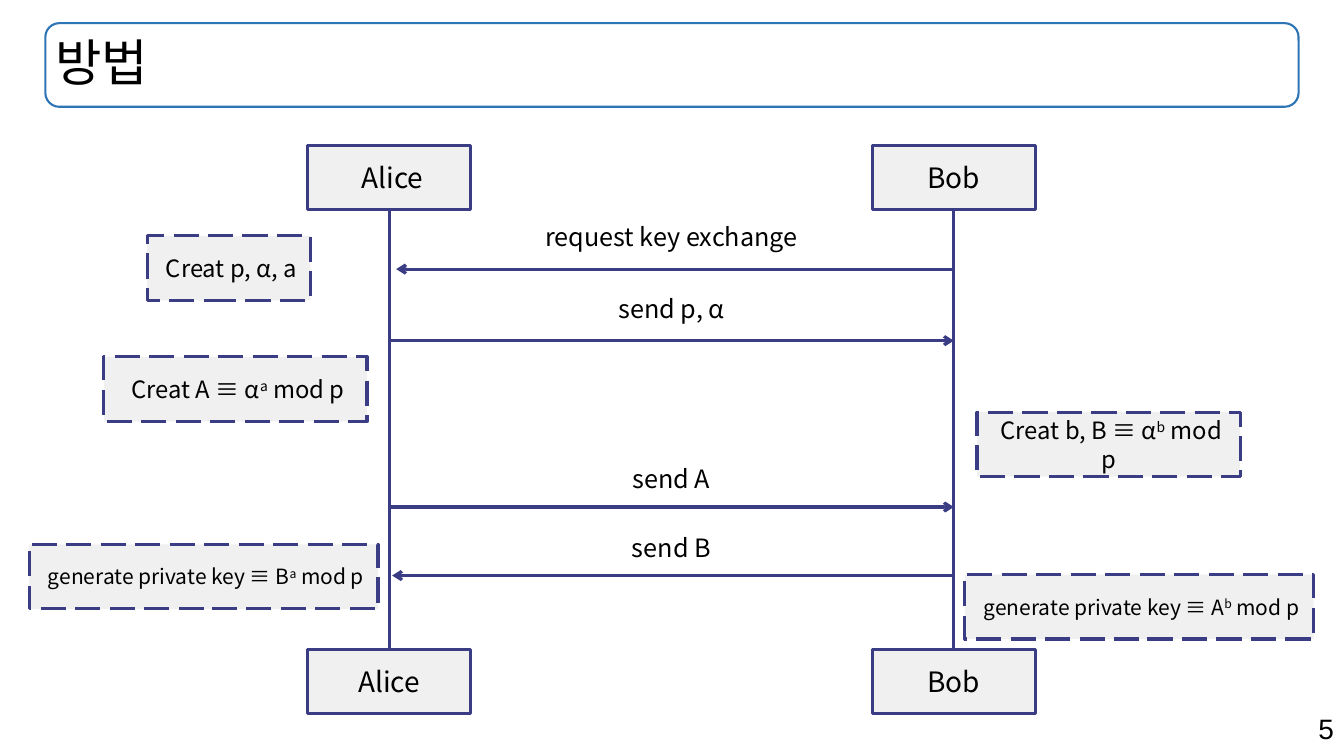
import pptx
import pptx.util
import pptx.oxml
import pptx.oxml.ns
import pptx.dml.color
import pptx.enum.dml
import pptx.enum.shapes
import pptx.enum.text
from lxml import etree

Inches, Pt = pptx.util.Inches, pptx.util.Pt
SHAPES = pptx.enum.shapes.MSO_SHAPE
ALIGN = pptx.enum.text.PP_ALIGN
ANCHOR = pptx.enum.text.MSO_ANCHOR
qn = pptx.oxml.ns.qn
COLORS = {"text": "000000", "ink": "3A3C84", "box": "F0F0F0", "frame": "2E75B6"}
RGB = {name: pptx.dml.color.RGBColor.from_string(value) for name, value in COLORS.items()}
FONT = "Noto Sans CJK KR"

deck = pptx.Presentation()
deck.slide_width, deck.slide_height = Inches(13.33), Inches(7.5)
slide = deck.slides.add_slide(deck.slide_layouts[5])
shapes = slide.shapes

# Grid of the sequence diagram
ALICE_X, BOB_X = 3.86, 9.46
ACTOR_W, BOX_H = 1.62, 0.64
TOP_Y, BOTTOM_Y = 1.44, 6.44


def write(frame, parts, size, align=ALIGN.CENTER):
    """Fill one paragraph; every second part is a superscript."""
    paragraph = frame.paragraphs[0]
    paragraph.alignment = align
    for number, part in enumerate(parts):
        run = paragraph.add_run()
        run.text = part
        run.font.size = Pt(size)
        run.font.name = FONT
        run.font.color.rgb = RGB["text"]
        properties = run.font._element
        etree.SubElement(properties, qn("a:ea"), typeface=FONT)
        if number % 2:
            properties.set("baseline", "30000")
    return paragraph


def add_line(x1, x2, y1, y2, arrow=False):
    line = shapes.add_connector(pptx.enum.shapes.MSO_CONNECTOR.STRAIGHT,
                                Inches(x1), Inches(y1), Inches(x2), Inches(y2))
    line.line.color.rgb = RGB["ink"]
    line.line.width = Pt(2.25)
    if arrow:
        etree.SubElement(line.line._get_or_add_ln(), qn("a:tailEnd"), type="arrow")
    etree.SubElement(line._element.spPr, qn("a:effectLst"))


# Title in its rounded frame
title = shapes.title
title_area = [Inches(v) for v in (0.45, 0.23, 12.43, 0.83)]
title.left, title.top, title.width, title.height = title_area
title.text_frame.auto_size = pptx.enum.text.MSO_AUTO_SIZE.NONE
title.text_frame.vertical_anchor = ANCHOR.MIDDLE
write(title.text_frame, ["방법"], 36, ALIGN.LEFT).line_spacing = 0.9
title_frame = shapes.add_shape(SHAPES.ROUNDED_RECTANGLE, *title_area)
title_frame.shadow.inherit = False
title_frame.fill.background()
title_frame.line.color.rgb = RGB["frame"]
title_frame.line.width = Pt(1.5)

# Lifelines
for x in (ALICE_X, BOB_X):
    add_line(x, x, TOP_Y + BOX_H, BOTTOM_Y)

# Messages: label, start, end, height, rise of the label
messages = [
    ("request key exchange", BOB_X, ALICE_X + 0.07, 2.67, 0.52),
    ("send p, α", ALICE_X, BOB_X, 3.38, 0.52),
    ("send A", ALICE_X, BOB_X, 5.03, 0.48),
    ("send B", BOB_X - 0.02, ALICE_X + 0.03, 5.71, 0.48),
]
LABEL_W = 2.8
for message, start, end, y, rise in messages:
    add_line(start, end, y, y, arrow=True)
    label = shapes.add_textbox(Inches((ALICE_X + BOB_X - LABEL_W) / 2),
                               Inches(y - rise), Inches(LABEL_W), Inches(0.4))
    label.text_frame.word_wrap = True
    write(label.text_frame, [message], 18)

# Actors and dashed steps: text parts, left, top, width, size, dashed
actors = [([name], x - ACTOR_W / 2, y, ACTOR_W, 20, False)
          for y, alice in ((TOP_Y, " Alice"), (BOTTOM_Y, "Alice"))
          for name, x in ((alice, ALICE_X), ("Bob", BOB_X))]
steps = [
    ([" Creat p, α, a"], 1.46, 2.34, ACTOR_W, 17, True),
    ([" Creat A ≡ α", "a", " mod p"], 1.03, 3.54, 2.61, 17, True),
    ([" Creat b, B ≡ α", "b", " mod p"], 9.69, 4.09, 2.61, 17, True),
    ([" generate private key ≡ B", "a", " mod p"], 0.29, 5.4, 3.46, 15, True),
    ([" generate private key ≡ A", "b", " mod p"], 9.57, 5.7, 3.46, 15, True),
]
for parts, left, top, width, size, dashed in actors + steps:
    box = shapes.add_shape(SHAPES.RECTANGLE, Inches(left), Inches(top),
                           Inches(width), Inches(BOX_H))
    box.shadow.inherit = False
    box.fill.solid()
    box.fill.fore_color.rgb = RGB["box"]
    box.line.color.rgb = RGB["ink"]
    box.line.width = Pt(2.25)
    if dashed:
        box.line.dash_style = pptx.enum.dml.MSO_LINE.LONG_DASH
    box.text_frame.word_wrap = True
    box.text_frame.vertical_anchor = ANCHOR.MIDDLE
    write(box.text_frame, parts, size)

# Page number
page = shapes.add_textbox(Inches(9.43), Inches(7.01), Inches(3.9), Inches(0.44))
page.text_frame.word_wrap = True
page.text_frame.text = "5"
number = page.text_frame.paragraphs[0]
number.alignment = ALIGN.RIGHT
number.runs[0].font.size = Pt(20)
number.runs[0].font.name = "Arial"
number.runs[0].font.color.rgb = RGB["text"]

deck.save("out.pptx")
